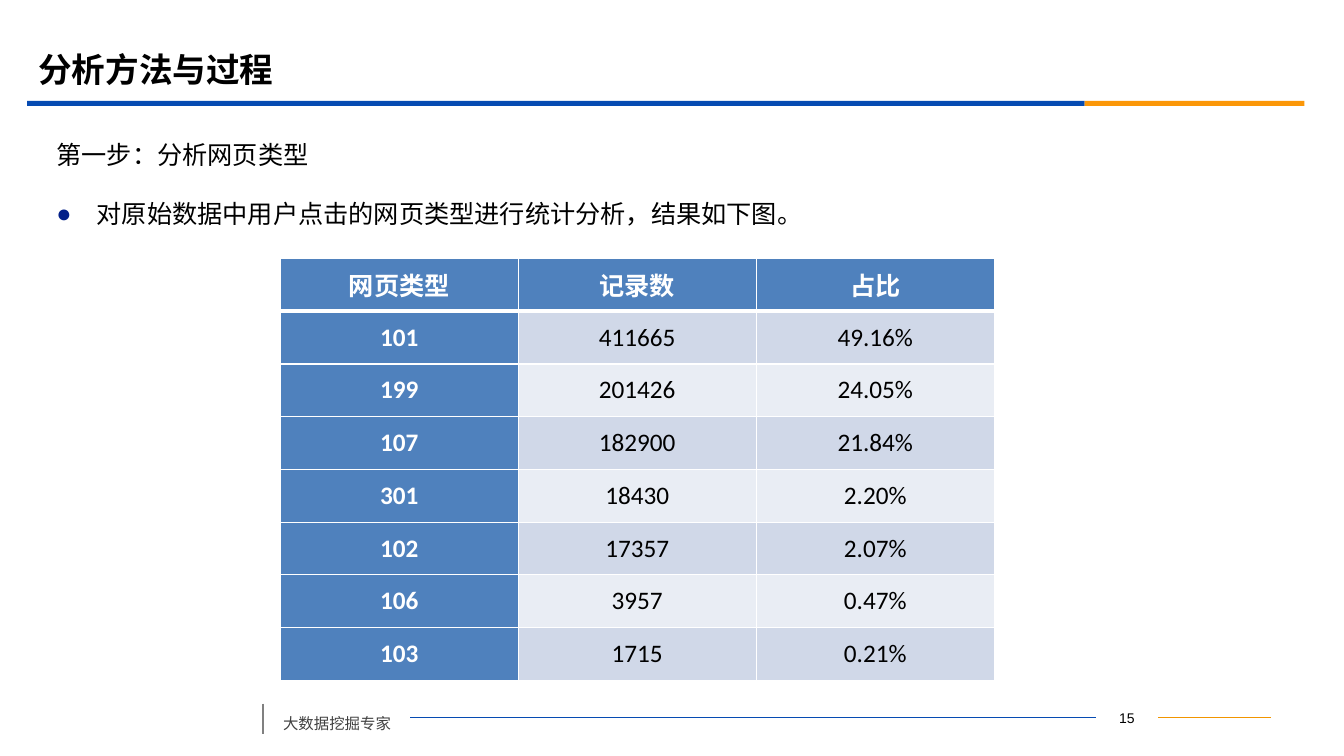
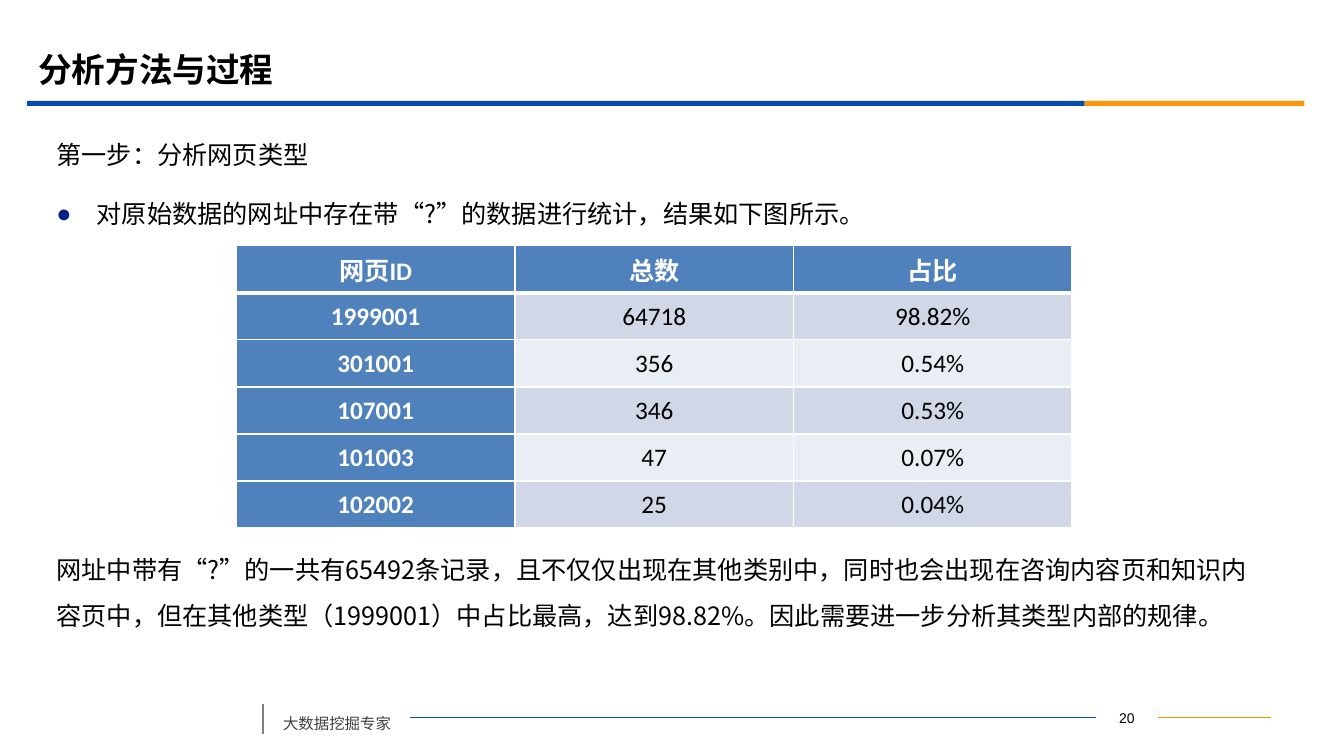
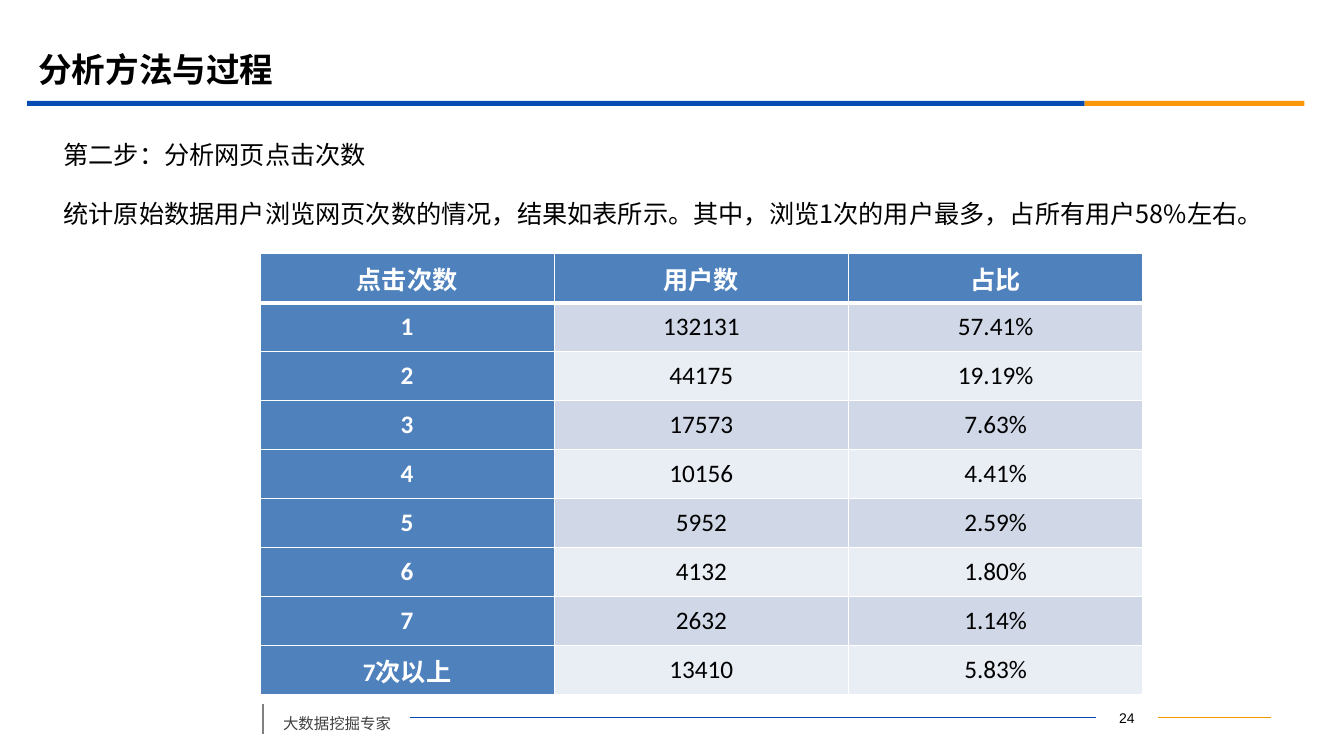
from dataclasses import dataclass

from lxml import etree
from pptx import Presentation
from pptx.dml.color import RGBColor
from pptx.enum import shapes, text
from pptx.oxml import ns
from pptx.util import Pt


@dataclass(frozen=True)
class Theme:
    cjk: str = "Noto Sans CJK SC"
    latin: str = "Calibri"
    number: str = "Arial"
    black: str = "000000"
    white: str = "FFFFFF"
    blue: str = "064BB2"
    orange: str = "FB9708"
    amber: str = "F19500"
    gray: str = "808080"
    footer: str = "404040"
    bullet: str = "032089"
    head: str = "4F81BD"
    bands: tuple = ("D0D8E8", "E9EDF4")
    title_size: int = 24
    body_size: int = 18
    footer_size: int = 11
    number_size: int = 10


THEME = Theme()
TITLE = "分析方法与过程"
FOOTER = "大数据挖掘专家"
TITLE_BOX = (20.2, 28.1, 864, 41.8)
BODY_BOX = (33.1, 85, 874.8, 397.4)
NUMBER_BOX = (782.6, 503.3, 44.6, 18)
FOOTER_BOX = (195.1, 499.7, 97.9, 27.4)
BANDS = [((19.4, 72, 755.3, 3.6), THEME.blue), ((774.7, 72, 157, 3.6), THEME.orange)]
LINES = [
    ((827.3, 512.6, 907.9, 512.6), THEME.amber, 0.75),
    ((293, 512.6, 782.6, 512.6), THEME.blue, 0.75),
    ((187.9, 502.6, 187.9, 524.2), THEME.gray, 1.25),
]
GAP = 10
TABLE_GAP = 222
BULLET_INDENT = 28.8

SLIDES = [
    {
        "number": 15,
        "left": 33.1,
        "body": [
            ("第一步：分析网页类型", False, GAP),
            ("对原始数据中用户点击的网页类型进行统计分析，结果如下图。", True, GAP),
        ],
        "origin": (200.2, 184.6),
        "cell": (170, 37.7),
        "rows": [
            ("网页类型", "记录数", "占比"),
            ("101", "411665", "49.16%"),
            ("199", "201426", "24.05%"),
            ("107", "182900", "21.84%"),
            ("301", "18430", "2.20%"),
            ("102", "17357", "2.07%"),
            ("106", "3957", "0.47%"),
            ("103", "1715", "0.21%"),
        ],
    },
    {
        "number": 20,
        "left": 33.1,
        "body": [
            ("第一步：分析网页类型", False, GAP),
            ("对原始数据的网址中存在带“?”的数据进行统计，结果如下图所示。", True, GAP),
            ("网址中带有“?”的一共有65492条记录，且不仅仅出现在其他类别中，同时也会出现在咨询内容页和知识内容页中，"
             "但在其他类型（1999001）中占比最高，达到98.82%。因此需要进一步分析其类型内部的规律。", False, TABLE_GAP),
        ],
        "origin": (168.8, 175.6),
        "cell": (199, 33.6),
        "rows": [
            ("网页ID", "总数", "占比"),
            ("1999001", "64718", "98.82%"),
            ("301001", "356", "0.54%"),
            ("107001", "346", "0.53%"),
            ("101003", "47", "0.07%"),
            ("102002", "25", "0.04%"),
        ],
    },
    {
        "number": 24,
        "left": 38.2,
        "body": [
            ("第二步：分析网页点击次数", False, GAP),
            ("统计原始数据用户浏览网页次数的情况，结果如表所示。其中，浏览1次的用户最多，占所有用户58%左右。", False, GAP),
        ],
        "origin": (185.7, 181.3),
        "cell": (210.2, 35),
        "rows": [
            ("点击次数", "用户数", "占比"),
            ("1", "132131", "57.41%"),
            ("2", "44175", "19.19%"),
            ("3", "17573", "7.63%"),
            ("4", "10156", "4.41%"),
            ("5", "5952", "2.59%"),
            ("6", "4132", "1.80%"),
            ("7", "2632", "1.14%"),
            ("7次以上", "13410", "5.83%"),
        ],
    },
]


def points(values):
    return [Pt(value) for value in values]


def rgb(color):
    return RGBColor.from_string(color)


def add_element(parent, tag, **attributes):
    return etree.SubElement(parent, ns.qn(tag), attributes)


def place(shape, box):
    shape.left, shape.top, shape.width, shape.height = points(box)


def style(paragraph, size, color, bold=False, latin=THEME.cjk):
    font = paragraph.font
    font.size, font.bold, font.name = Pt(size), bold, latin
    font.color.rgb = rgb(color)
    properties = paragraph._p.get_or_add_pPr().get_or_add_defRPr()
    add_element(properties, "a:ea", typeface=THEME.cjk)


def set_bullet(paragraph, bulleted):
    properties = paragraph._p.get_or_add_pPr()
    indent = Pt(BULLET_INDENT) if bulleted else 0
    properties.set("marL", "%d" % indent)
    properties.set("indent", "%d" % -indent)
    if bulleted:
        add_element(add_element(properties, "a:buClr"), "a:srgbClr", val=THEME.bullet)
        add_element(properties, "a:buFont", typeface=THEME.number)
        add_element(properties, "a:buChar", char="●")
    else:
        add_element(properties, "a:buNone")


def add_label(slide, box, words, size, color, latin=THEME.cjk):
    label = slide.shapes.add_textbox(*points(box))
    label.text_frame.word_wrap = True
    paragraph = label.text_frame.paragraphs[0]
    paragraph.text = words
    style(paragraph, size, color, latin=latin)
    return label


def move_frame_to_layout(slide, layout):
    frame = []
    for box, color in BANDS:
        band = slide.shapes.add_shape(shapes.MSO_SHAPE.RECTANGLE, *points(box))
        band.shadow.inherit = False
        band.fill.solid()
        band.fill.fore_color.rgb = rgb(color)
        band.line.fill.background()
        frame.append(band)
    for ends, color, width in LINES:
        line = slide.shapes.add_connector(shapes.MSO_CONNECTOR.STRAIGHT, *points(ends))
        line.line.color.rgb = rgb(color)
        line.line.width = Pt(width)
        add_element(line.element.spPr, "a:effectLst")
        frame.append(line)
    footer = add_label(slide, FOOTER_BOX, FOOTER, THEME.footer_size, THEME.footer)
    paragraph = footer.text_frame.paragraphs[0]
    paragraph.line_spacing, paragraph.space_before = 1.5, Pt(6)
    frame.append(footer)
    for shape in frame:
        layout.shapes.element.append(shape.element)


def prepare_layout(layout):
    for placeholder in list(layout.placeholders):
        index = placeholder.placeholder_format.idx
        if index > 1:
            placeholder.element.getparent().remove(placeholder.element)
        else:
            place(placeholder, BODY_BOX if index else TITLE_BOX)


def fill_title(title):
    frame = title.text_frame
    frame.auto_size = text.MSO_AUTO_SIZE.NONE
    frame.vertical_anchor = text.MSO_ANCHOR.MIDDLE
    paragraph = frame.paragraphs[0]
    paragraph.text = TITLE
    paragraph.alignment = text.PP_ALIGN.LEFT
    style(paragraph, THEME.title_size, THEME.black, bold=True)


def fill_body(body, left, items):
    place(body, (left, *BODY_BOX[1:]))
    frame = body.text_frame
    frame.auto_size = text.MSO_AUTO_SIZE.NONE
    frame.word_wrap = True
    for index, (words, bulleted, gap) in enumerate(items):
        paragraph = frame.add_paragraph() if index else frame.paragraphs[0]
        paragraph.text = words
        paragraph.line_spacing, paragraph.space_before = 1.5, Pt(gap)
        set_bullet(paragraph, bulleted)
        style(paragraph, THEME.body_size, THEME.black)


def set_borders(cell, row):
    properties = cell._tc.get_or_add_tcPr()
    widths = {"L": 1, "R": 1, "T": 3 if row == 1 else 1, "B": 3 if row == 0 else 1}
    for side, width in widths.items():
        border = add_element(properties, "a:ln" + side, w="%d" % Pt(width))
        add_element(add_element(border, "a:solidFill"), "a:srgbClr", val=THEME.white)


def add_data_table(slide, origin, cell_size, rows):
    width, height = cell_size
    count = len(rows[0])
    box = (*origin, width * count, height * len(rows))
    table = slide.shapes.add_table(len(rows), count, *points(box)).table
    table.first_col = True
    for column in table.columns:
        column.width = Pt(width)
    for row, values in enumerate(rows):
        table.rows[row].height = Pt(height)
        for column, value in enumerate(values):
            cell = table.cell(row, column)
            heading = row == 0 or column == 0
            set_borders(cell, row)
            cell.fill.solid()
            cell.fill.fore_color.rgb = rgb(THEME.head if heading else THEME.bands[(row - 1) % 2])
            cell.margin_left = cell.margin_right = cell.margin_top = cell.margin_bottom = 0
            cell.vertical_anchor = text.MSO_ANCHOR.MIDDLE
            paragraph = cell.text_frame.paragraphs[0]
            paragraph.text = value
            paragraph.alignment = text.PP_ALIGN.CENTER
            style(paragraph, THEME.body_size, THEME.white if heading else THEME.black, heading, THEME.latin)


def main():
    presentation = Presentation()
    presentation.slide_width, presentation.slide_height = Pt(960), Pt(540)
    layout = presentation.slide_layouts[1]
    prepare_layout(layout)
    for index, content in enumerate(SLIDES):
        slide = presentation.slides.add_slide(layout)
        if index == 0:
            move_frame_to_layout(slide, layout)
        fill_title(slide.shapes.title)
        fill_body(slide.placeholders[1], content["left"], content["body"])
        add_data_table(slide, content["origin"], content["cell"], content["rows"])
        number = add_label(slide, NUMBER_BOX, str(content["number"]), THEME.number_size, THEME.black, THEME.number)
        number.text_frame.paragraphs[0].alignment = text.PP_ALIGN.CENTER
    presentation.save("out.pptx")


if __name__ == "__main__":
    main()
